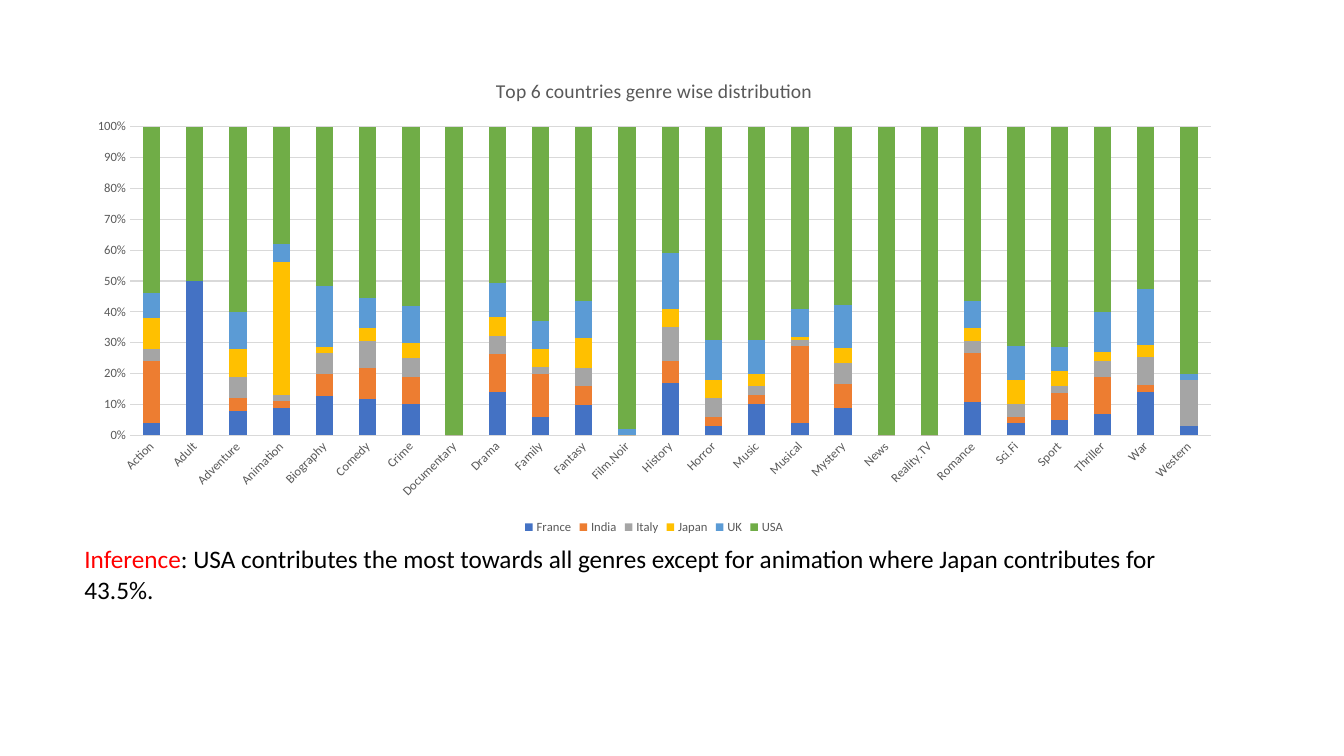
"""Builds a slide with a genre distribution chart and its inference."""
from dataclasses import dataclass

from pptx import Presentation
from pptx.chart.data import CategoryChartData
from pptx.dml.color import RGBColor
from pptx.enum.chart import XL_CHART_TYPE, XL_LEGEND_POSITION, XL_TICK_MARK
from pptx.util import Emu, Pt

STACKED = XL_CHART_TYPE.COLUMN_STACKED_100
BOTTOM = XL_LEGEND_POSITION.BOTTOM
NO_TICK = XL_TICK_MARK.NONE

PX = 9525
SLIDE_SIZE = (1280, 720)
CHART_BOX = (71, 56, 1104, 457)
INFERENCE_BOX = (71, 513, 1104, 68)
LABEL_ROTATION = -45 * 60000


@dataclass(frozen=True)
class Theme:
    """Holds the font, type sizes and colours of the slide."""
    font: str = "Calibri"
    title_size: float = 14
    label_size: float = 9
    body_size: float = 18
    text: str = "000000"
    accent: str = "FF0000"
    muted: str = "595959"
    grid: str = "D9D9D9"


THEME = Theme()

GENRES = (
    "Action", "Adult", "Adventure", "Animation", "Biography", "Comedy", "Crime",
    "Documentary", "Drama", "Family", "Fantasy", "Film.Noir", "History", "Horror",
    "Music", "Musical", "Mystery", "News", "Reality.TV", "Romance", "Sci.Fi",
    "Sport", "Thriller", "War", "Western",
)

COUNTRIES = (
    ("France", "4472C4", (4, 50, 8, 9, 13, 12, 10, 0, 14, 6, 10, 0, 17,
                          3, 10, 4, 9, 0, 0, 11, 4, 5, 7, 14, 3)),
    ("India", "ED7D31", (20, 0, 4, 2, 7, 10, 9, 0, 12, 14, 6, 0, 7,
                         3, 3, 25, 8, 0, 0, 16, 2, 9, 12, 2, 0)),
    ("Italy", "A5A5A5", (4, 0, 7, 2, 7, 9, 6, 0, 6, 2, 6, 0, 11,
                         6, 3, 2, 7, 0, 0, 4, 4, 2, 5, 9, 15)),
    ("Japan", "FFC000", (10, 0, 9, 43, 2, 4, 5, 0, 6, 6, 10, 0, 6,
                         6, 4, 1, 5, 0, 0, 4, 8, 5, 3, 4, 0)),
    ("UK", "5B9BD5", (8, 0, 12, 6, 20, 10, 12, 0, 11, 9, 12, 2, 18,
                      13, 11, 9, 14, 0, 0, 9, 11, 8, 13, 18, 2)),
    ("USA", "70AD47", (54, 50, 60, 38, 52, 56, 58, 100, 50, 63, 57, 98, 41,
                       69, 69, 59, 59, 100, 100, 57, 71, 72, 60, 52, 80)),
)


def to_emu(lengths):
    """Turns px lengths into EMU."""
    return [Emu(length * PX) for length in lengths]


def style_font(font, size, color):
    """Sets the typeface, size and colour of a font."""
    font.name = THEME.font
    font.size = Pt(size)
    font.bold = False
    font.color.rgb = RGBColor.from_string(color)


def add_run(paragraph, text, size=THEME.body_size, color=THEME.text):
    """Adds formatted text to a paragraph."""
    run = paragraph.add_run()
    run.text = text
    style_font(run.font, size, color)


def style_line(line):
    """Gives a chart line the thin grid style."""
    line.color.rgb = RGBColor.from_string(THEME.grid)
    line.width = Pt(0.75)


def style_axes(chart):
    """Formats both axes of the chart."""
    for axis in (chart.category_axis, chart.value_axis):
        axis.major_tick_mark = axis.minor_tick_mark = NO_TICK
        style_font(axis.tick_labels.font, THEME.label_size, THEME.muted)
    genres, shares = chart.category_axis, chart.value_axis
    style_line(genres.format.line)
    genres._element.txPr.bodyPr.set("rot", str(LABEL_ROTATION))
    style_line(shares.major_gridlines.format.line)
    shares.format.line.fill.background()
    shares.tick_labels.number_format = "0%"
    shares.tick_labels.number_format_is_linked = False


def add_distribution_chart(slide, box):
    """Places the stacked chart of genres by country."""
    data = CategoryChartData()
    data.categories = GENRES
    for name, _, values in COUNTRIES:
        data.add_series(name, values)
    chart = slide.shapes.add_chart(STACKED, *to_emu(box), data).chart
    style_font(chart.font, 10, THEME.text)
    chart.has_title = True
    add_run(chart.chart_title.text_frame.paragraphs[0],
            "Top 6 countries genre wise distribution",
            size=THEME.title_size, color=THEME.muted)
    chart.chart_title.include_in_layout = False
    chart.has_legend = True
    chart.legend.position = BOTTOM
    chart.legend.include_in_layout = False
    style_font(chart.legend.font, THEME.label_size, THEME.muted)
    style_axes(chart)
    plot = chart.plots[0]
    plot.gap_width = 150
    plot.overlap = 100
    plot.vary_by_categories = False
    for series, (_, color, _) in zip(plot.series, COUNTRIES):
        series.format.fill.solid()
        series.format.fill.fore_color.rgb = RGBColor.from_string(color)


def add_inference(slide, box):
    """Places the conclusion drawn from the chart."""
    text_frame = slide.shapes.add_textbox(*to_emu(box)).text_frame
    text_frame.word_wrap = True
    paragraph = text_frame.paragraphs[0]
    add_run(paragraph, "Inference", color=THEME.accent)
    add_run(paragraph, ": USA contributes the most towards all genres except for "
                       "animation where Japan contributes for 43.5%.")


def main():
    """Builds and saves the presentation."""
    presentation = Presentation()
    presentation.slide_width, presentation.slide_height = to_emu(SLIDE_SIZE)
    slide = presentation.slides.add_slide(presentation.slide_layouts[6])
    add_distribution_chart(slide, CHART_BOX)
    add_inference(slide, INFERENCE_BOX)
    presentation.save("out.pptx")


if __name__ == "__main__":
    main()
